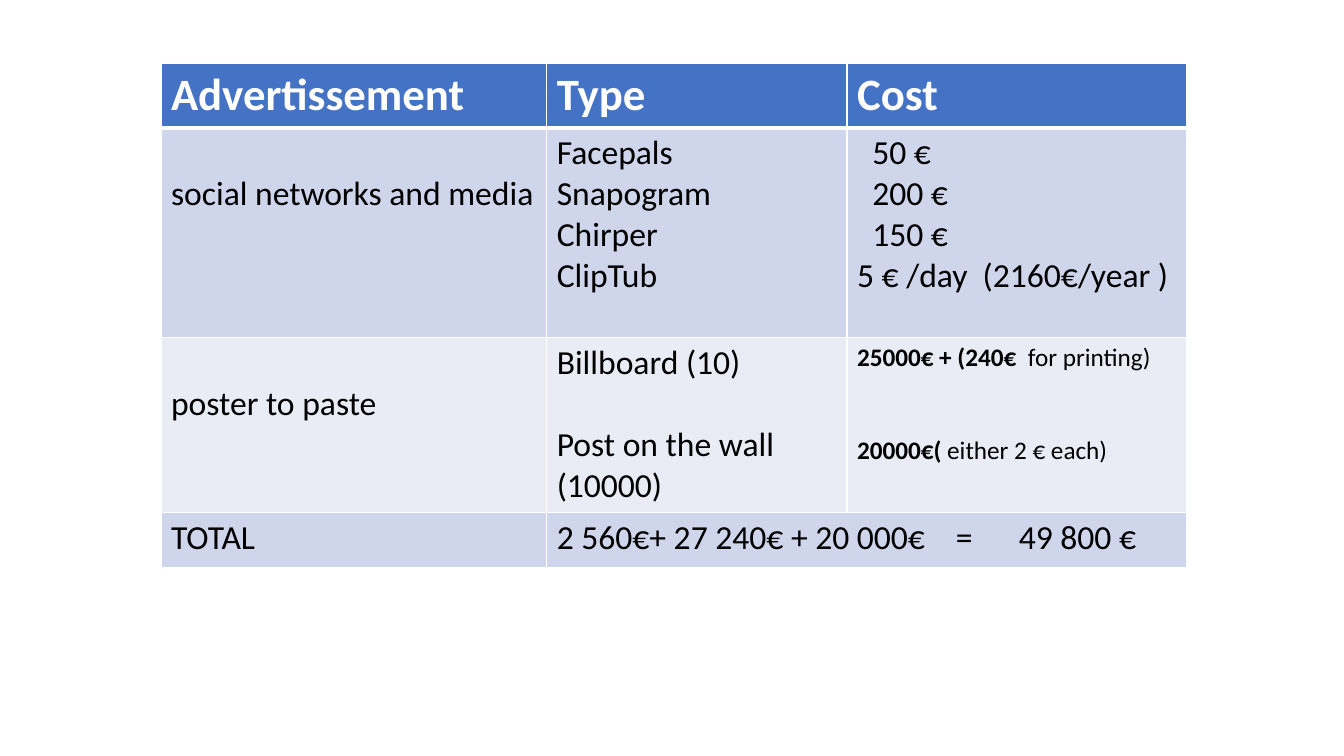
import pptx
import pptx.dml.color
import pptx.oxml
import pptx.oxml.ns
import pptx.util

Pt = pptx.util.Pt
WHITE = pptx.dml.color.RGBColor(0xFF, 0xFF, 0xFF)
BLACK = pptx.dml.color.RGBColor(0x00, 0x00, 0x00)
HEADER_BLUE = pptx.dml.color.RGBColor(0x44, 0x72, 0xC4)
BAND_DARK = pptx.dml.color.RGBColor(0xCF, 0xD5, 0xEA)
BAND_LIGHT = pptx.dml.color.RGBColor(0xE9, 0xEB, 0xF5)

HEADER = {"size": Pt(32), "bold": True, "name": "Calibri"}
BODY = {"size": Pt(24), "bold": False, "name": "Calibri"}
NOTE = {**BODY, "size": Pt(18)}
NOTE_BOLD = {**NOTE, "bold": True}

COLUMN_WIDTHS = [275.5, 214.5, 242.5]
ROW_HEIGHTS = [46, 150, 124.5, 39.5]
ROW_FILLS = [HEADER_BLUE, BAND_DARK, BAND_LIGHT, BAND_DARK]
BODY_LINE = 29.3
NOTE_LINE = 22
AMOUNT_INDENT = 10.85
TOTAL_TABS = [285, 330]


def set_borders(cell, bottom_width):
    properties = cell._tc.get_or_add_tcPr()
    for side, width in (("L", 1), ("R", 1), ("T", 1), ("B", bottom_width)):
        properties.append(pptx.oxml.parse_xml(
            f'<a:ln{side} {pptx.oxml.ns.nsdecls("a")} w="{Pt(width)}">'
            f'<a:solidFill><a:srgbClr val="{WHITE}"/></a:solidFill></a:ln{side}>'
        ))


def style_cell(cell, fill, bottom_width):
    set_borders(cell, bottom_width)
    cell.fill.solid()
    cell.fill.fore_color.rgb = fill


def add_run(paragraph, text, font_format, color):
    run = paragraph.add_run()
    run.text = text
    for attribute, value in font_format.items():
        setattr(run.font, attribute, value)
    run.font.color.rgb = color


def write_cell(cell, lines, color=BLACK):
    frame = cell.text_frame
    paragraphs = [frame.paragraphs[0]]
    paragraphs += [frame.add_paragraph() for _ in lines[1:]]
    for paragraph, runs in zip(paragraphs, lines):
        for text, font_format in runs:
            add_run(paragraph, text, font_format, color)
    return paragraphs


def body_lines(*texts):
    return [[(text, BODY)] for text in texts]


def indent(paragraph, points):
    paragraph._p.get_or_add_pPr().set("marL", str(Pt(points)))


def add_tab_stops(paragraph, positions):
    stops = "".join(f'<a:tab pos="{Pt(position)}" algn="l"/>' for position in positions)
    paragraph._p.get_or_add_pPr().append(pptx.oxml.parse_xml(
        f'<a:tabLst {pptx.oxml.ns.nsdecls("a")}>{stops}</a:tabLst>'
    ))


def add_cost_table(slide):
    table = slide.shapes.add_table(
        len(ROW_HEIGHTS), len(COLUMN_WIDTHS), Pt(115), Pt(45),
        Pt(sum(COLUMN_WIDTHS)), Pt(sum(ROW_HEIGHTS)),
    ).table
    for column, width in zip(table.columns, COLUMN_WIDTHS):
        column.width = Pt(width)
    for index, (row, height, fill) in enumerate(zip(table.rows, ROW_HEIGHTS, ROW_FILLS)):
        row.height = Pt(height)
        for cell in row.cells:
            style_cell(cell, fill, 3 if index == 0 else 1)
    table.cell(3, 1).merge(table.cell(3, 2))
    return table


def fill_cost_table(table):
    for column, title in enumerate(["Advertissement", "Type", "Cost"]):
        write_cell(table.cell(0, column), [[(title, HEADER)]], WHITE)

    for row, category in ((1, "social networks and media"), (2, "poster to paste")):
        cell = table.cell(row, 0)
        cell.margin_top = Pt(3.6 + BODY_LINE)
        write_cell(cell, body_lines(category))

    write_cell(table.cell(1, 1), body_lines("Facepals", "Snapogram", "Chirper", "ClipTub"))
    costs = write_cell(
        table.cell(1, 2), body_lines("50 €", "200 €", "150 €", "5 € /day  (2160€/year )")
    )
    for paragraph in costs[:3]:
        indent(paragraph, AMOUNT_INDENT)

    posters = write_cell(
        table.cell(2, 1), body_lines("Billboard (10)", "Post on the wall (10000)")
    )
    posters[1].space_before = Pt(BODY_LINE)
    poster_costs = write_cell(table.cell(2, 2), [
        [("25000€ + (240€  ", NOTE_BOLD), ("for printing)", NOTE)],
        [("20000€( ", NOTE_BOLD), ("either 2 € each)", NOTE)],
    ])
    poster_costs[1].space_before = Pt(2 * NOTE_LINE)

    write_cell(table.cell(3, 0), body_lines("TOTAL"))
    total = write_cell(
        table.cell(3, 1), body_lines("2 560€+ 27 240€ + 20 000€\t=\t49 800 €")
    )
    add_tab_stops(total[0], TOTAL_TABS)


def main():
    presentation = pptx.Presentation()
    presentation.slide_width = Pt(960)
    presentation.slide_height = Pt(540)
    slide = presentation.slides.add_slide(presentation.slide_layouts[6])
    fill_cost_table(add_cost_table(slide))
    presentation.save("out.pptx")


if __name__ == "__main__":
    main()
